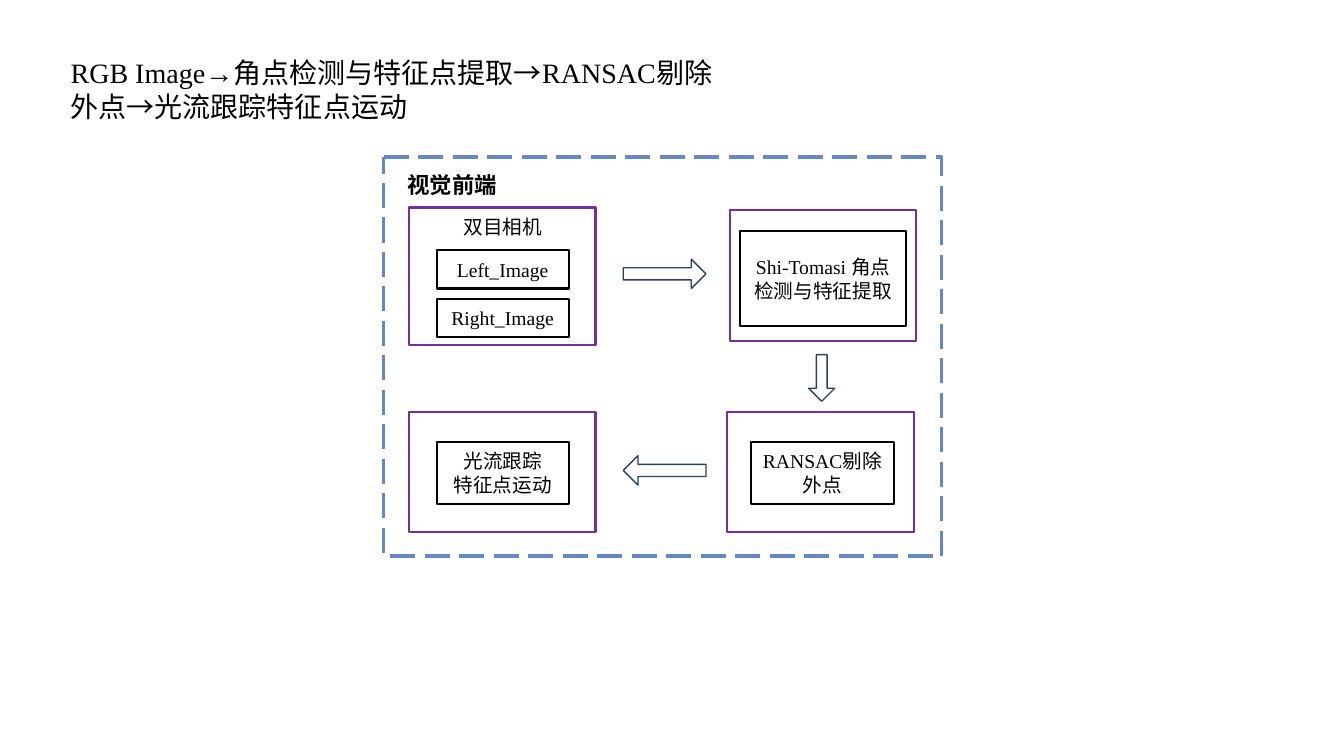
from dataclasses import dataclass

from lxml.etree import SubElement
from pptx import Presentation
from pptx.dml.color import RGBColor
from pptx.enum.dml import MSO_LINE
from pptx.enum.lang import MSO_LANGUAGE_ID
from pptx.enum.shapes import MSO_SHAPE
from pptx.enum.text import MSO_ANCHOR, MSO_AUTO_SIZE, PP_ALIGN
from pptx.oxml.ns import qn
from pptx.util import Inches, Pt

COLUMNS, ROWS = 160, 90


@dataclass(frozen=True)
class Theme:
    font: str = "Times New Roman"
    ink: str = "000000"
    paper: str = "FFFFFF"
    frame: str = "6587C4"
    stage: str = "7030A0"
    arrow: str = "28445D"
    title_size: int = 20
    heading_size: int = 16
    body_size: int = 14
    opacity: int = 30


class DiagramSlide:
    """Draws on one slide; every length is in grid columns and rows."""

    def __init__(self, prs, theme):
        self.theme = theme
        self.s = prs.slides.add_slide(prs.slide_layouts[5])
        self.col = prs.slide_width / COLUMNS
        self.row = prs.slide_height / ROWS

    def place(self, x, y, w, h):
        return (round(x * self.col), round(y * self.row),
                round(w * self.col), round(h * self.row))

    def add_text(self, sp, lines, size, align, anchor, bold=False):
        tf = sp.text_frame
        tf.word_wrap = True
        tf.auto_size = MSO_AUTO_SIZE.NONE
        tf.vertical_anchor = anchor
        for i, line in enumerate(lines):
            p = tf.add_paragraph() if i else tf.paragraphs[0]
            p.alignment = align
            r = p.add_run()
            r.text = line
            r.font.name = self.theme.font
            r.font.size = Pt(size)
            r.font.bold = bold
            r.font.color.rgb = RGBColor.from_string(self.theme.ink)
            r.font.language_id = MSO_LANGUAGE_ID.SIMPLIFIED_CHINESE

    def title(self, text, *cell):
        sp = self.s.shapes.title
        sp.left, sp.top, sp.width, sp.height = self.place(*cell)
        self.add_text(sp, [text], self.theme.title_size, PP_ALIGN.LEFT, MSO_ANCHOR.TOP)

    def label(self, text, size, *cell, bold=False):
        sp = self.s.shapes.add_textbox(*self.place(*cell))
        self.add_text(sp, [text], size, PP_ALIGN.CENTER, MSO_ANCHOR.TOP, bold)

    def shape(self, kind, cell, line, weight):
        sp = self.s.shapes.add_shape(kind, *self.place(*cell))
        sp.shadow.inherit = False
        sp.fill.solid()
        sp.fill.fore_color.rgb = RGBColor.from_string(self.theme.paper)
        sp.line.color.rgb = RGBColor.from_string(line)
        sp.line.width = Pt(weight)
        return sp

    def box(self, line, *cell, weight=1.5, lines=()):
        sp = self.shape(MSO_SHAPE.ROUNDED_RECTANGLE, cell, line, weight)
        sp.adjustments[0] = 0
        color = sp.element.spPr.find(qn("a:solidFill"))[0]
        SubElement(color, qn("a:alpha"), val=str(self.theme.opacity * 1000))
        self.add_text(sp, lines, self.theme.body_size, PP_ALIGN.CENTER, MSO_ANCHOR.MIDDLE)
        return sp

    def stage(self, x, y, h):
        self.box(self.theme.stage, x, y, 22.2, h)

    def step(self, lines, *cell):
        self.box(self.theme.ink, *cell, lines=lines)

    def arrow(self, *cell, turn=0):
        sp = self.shape(MSO_SHAPE.RIGHT_ARROW, cell, self.theme.arrow, 1)
        sp.adjustments[0], sp.adjustments[1] = 0.41, 0.5
        sp.rotation = turn


def main():
    prs = Presentation()
    prs.slide_width, prs.slide_height = Inches(13.33), Inches(7.5)
    theme = Theme()
    d = DiagramSlide(prs, theme)

    d.title("RGB Image→角点检测与特征点提取→RANSAC剔除外点→光流跟踪特征点运动",
            7.2, 6, 80, 9.24)
    frame = d.box(theme.frame, 45.7, 18.7, 66.4, 47.5, weight=2.25)
    frame.line.dash_style = MSO_LINE.LONG_DASH
    d.label("视觉前端", theme.heading_size, 45.7, 19.8, 16.3, 4.44, bold=True)

    left, step_left, lower, step_lower = 48.7, 52, 49, 52.6
    step_width, step_height = 15.7, 7.4

    d.stage(left, 24.7, 16.4)
    for i, name in enumerate(("Left_Image", "Right_Image")):
        d.step([name], step_left, 29.75 + 5.8 * i, step_width, 4.6)
    d.label("双目相机", theme.body_size, 53.3, 24.95, 13.1, 4.1)

    d.stage(86.9, 25, 15.6)
    d.step(["Shi-Tomasi 角点检测与特征提取"], 88.1, 27.5, 19.8, 11.3)

    d.stage(86.6, lower, 14.3)
    d.step(["RANSAC剔除外点"], 89.4, step_lower, 17, step_height)

    d.stage(left, lower, 14.3)
    d.step(["光流跟踪", "特征点运动"], step_left, step_lower, step_width, step_height)

    d.arrow(74.2, 30.85, 9.85, 3.5)
    d.arrow(74.2, 54.25, 9.85, 3.5, turn=180)
    d.arrow(95.05, 43.45, 5.55, 3.1, turn=90)

    prs.save("out.pptx")


if __name__ == "__main__":
    main()
